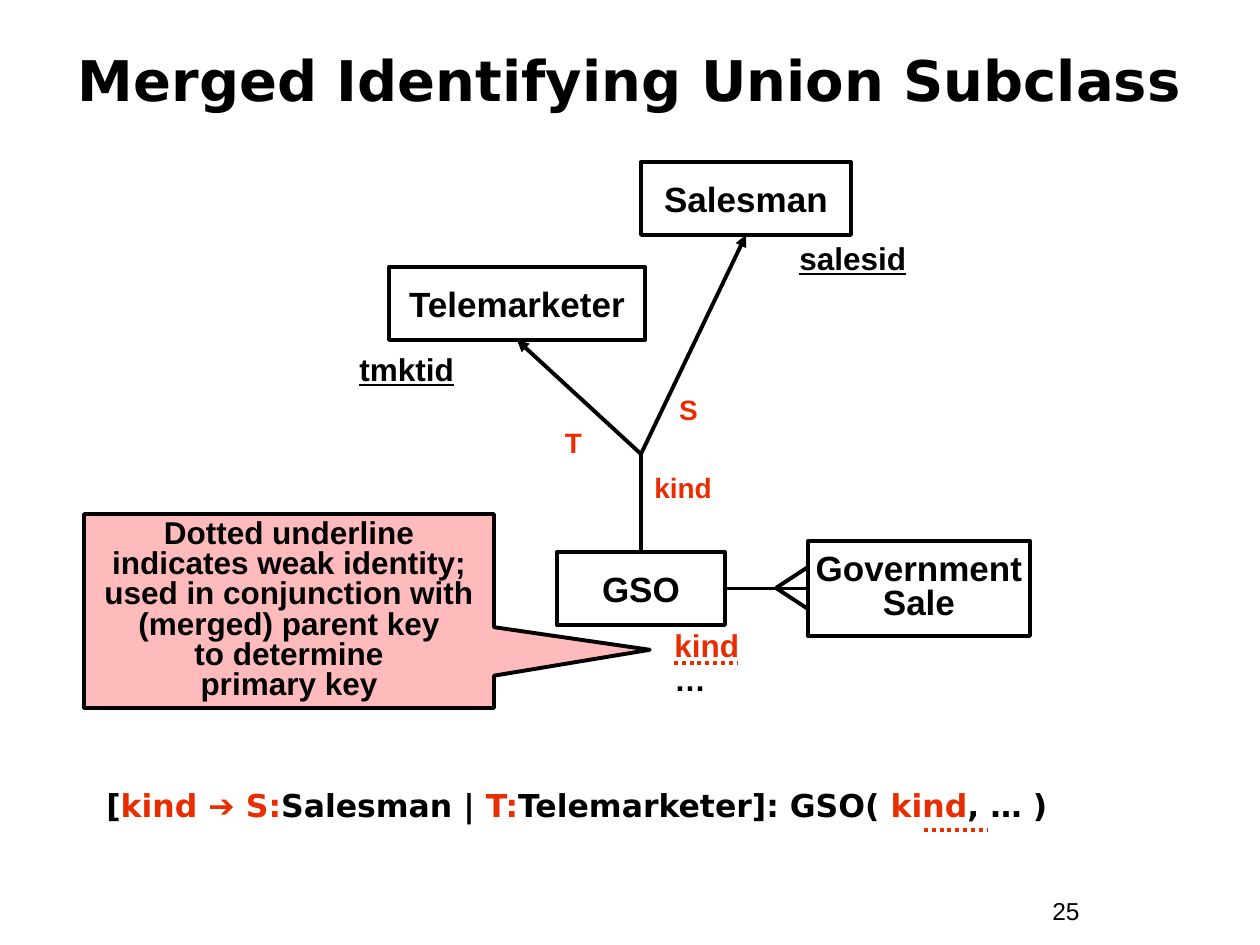
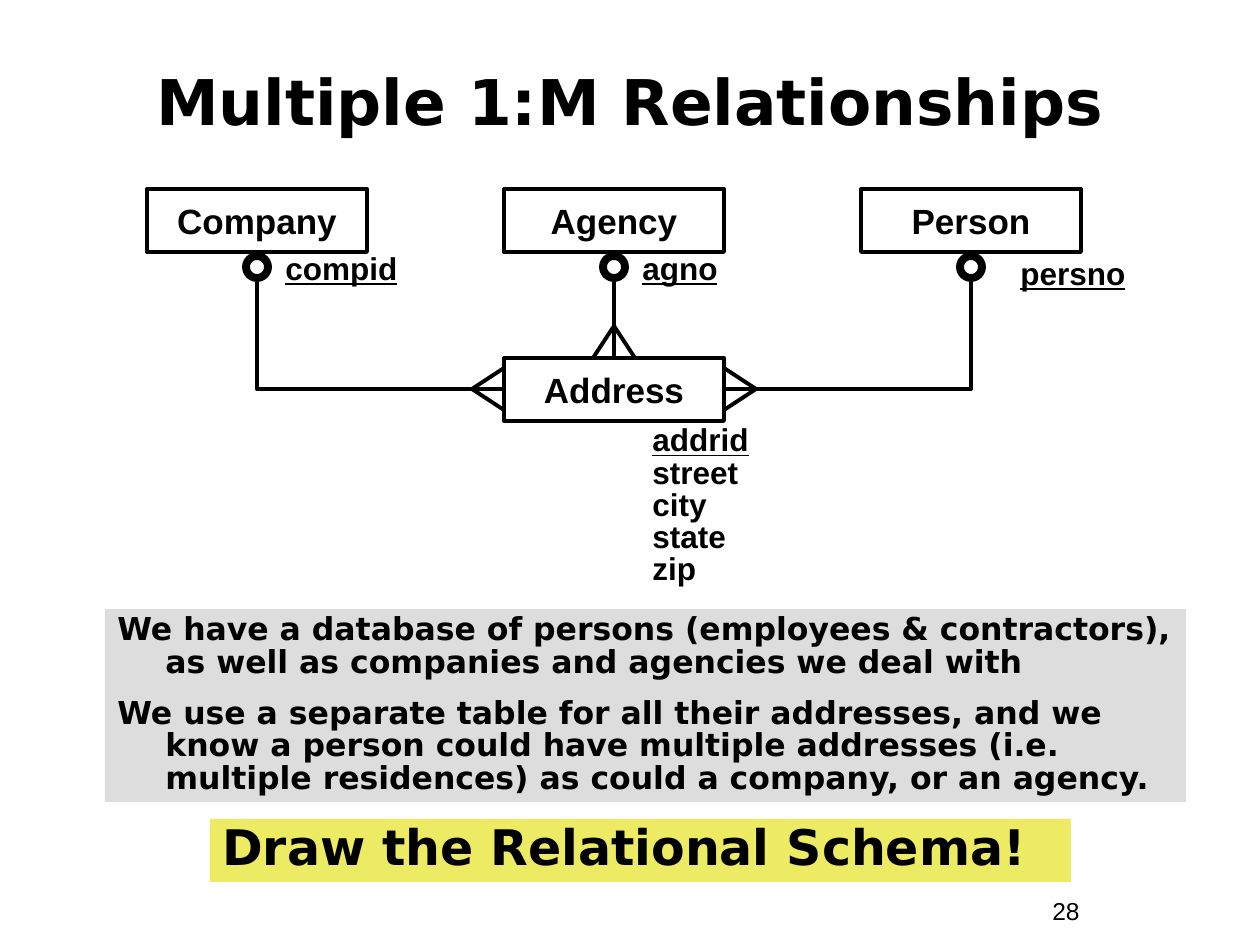
from dataclasses import dataclass
from typing import NamedTuple

from lxml.etree import SubElement
from pptx import Presentation
from pptx.dml.color import RGBColor
from pptx.enum.dml import MSO_LINE as Dash
from pptx.enum.shapes import MSO_CONNECTOR as Connector, MSO_SHAPE as Preset
from pptx.enum.text import MSO_ANCHOR as Anchor, PP_ALIGN as Align
from pptx.oxml.ns import qn
from pptx.util import Pt

SCALE = 914400 / 126
TOP, LEFT, BOTTOM, RIGHT = range(4)
DIRECTIONS = {TOP: (0, -1), LEFT: (-1, 0), BOTTOM: (0, 1), RIGHT: (1, 0)}
FOOT_LENGTH, FOOT_SPREAD = 32, 21


@dataclass(frozen=True)
class Theme:
    ink: str = "000000"
    accent: str = "EA2D00"
    callout: str = "FFBBBB"
    panel: str = "DDDDDD"
    banner: str = "EDEA63"
    sans: str = "Arial"
    display: str = "DejaVu Sans"
    number: int = 14
    label: int = 16
    body: int = 18
    entity: int = 20
    task: int = 28
    long_title: int = 32
    title: int = 36
    stroke: float = 2.25
    ring: float = 4.5


THEME = Theme()


class Box(NamedTuple):
    x: int
    y: int
    w: int
    h: int

    def inside(self, x, y, w, h):
        return Box(self.x + x, self.y + y, w, h)

    def point(self, x, y):
        return self.x + x, self.y + y

    def middle(self, side):
        dx, dy = DIRECTIONS[side]
        return self.x + (1 + dx) * self.w // 2, self.y + (1 + dy) * self.h // 2


def emu(*lengths):
    return [round(length * SCALE) for length in lengths]


def write(frame, paragraphs, size=THEME.body, font=THEME.sans, color=THEME.ink,
          bold=True, underline=False, align=Align.LEFT, spacing=None, gap=0,
          hanging=0, anchor=Anchor.TOP, wrap=True):
    frame.word_wrap = wrap
    frame.vertical_anchor = anchor
    for index, content in enumerate(paragraphs):
        paragraph = frame.paragraphs[0] if index == 0 else frame.add_paragraph()
        paragraph.alignment = align
        if spacing:
            paragraph.line_spacing = spacing
        if index and gap:
            paragraph.space_before = Pt(gap)
        if hanging:
            indent, = emu(hanging)
            properties = paragraph._p.get_or_add_pPr()
            properties.set("marL", str(indent))
            properties.set("indent", str(-indent))
        runs = [(content, {})] if isinstance(content, str) else content
        for text, changes in runs:
            for row, line_text in enumerate(text.split("\n")):
                if row:
                    paragraph.add_line_break()
                run = paragraph.add_run()
                run.text = line_text
                run.font.size = Pt(size)
                run.font.name = changes.get("font", font)
                run.font.bold = bold
                run.font.underline = changes.get("underline", underline)
                run.font.color.rgb = RGBColor.from_string(changes.get("color", color))


def add_text(slide, box, *paragraphs, **text_format):
    write(slide.shapes.add_textbox(*emu(*box)).text_frame, paragraphs, **text_format)


def add_block(slide, box, *paragraphs, preset=Preset.RECTANGLE, fill=None,
              stroke=THEME.stroke, **text_format):
    shape = slide.shapes.add_shape(preset, *emu(*box))
    shape.shadow.inherit = False
    if fill:
        shape.fill.solid()
        shape.fill.fore_color.rgb = RGBColor.from_string(fill)
    else:
        shape.fill.background()
    if stroke:
        shape.line.color.rgb = RGBColor.from_string(THEME.ink)
        shape.line.width = Pt(stroke)
    else:
        shape.line.fill.background()
    write(shape.text_frame, paragraphs, **text_format)
    return shape


def add_entity(slide, box, name):
    return add_block(slide, box, name, size=THEME.entity, align=Align.CENTER,
                     anchor=Anchor.MIDDLE, wrap=False,
                     spacing=0.8 if "\n" in name else None)


def add_line(slide, start, end, color=THEME.ink, kind=Connector.STRAIGHT,
             begin_at=None, end_at=None, dash=None, arrow=False):
    connector = slide.shapes.add_connector(kind, *emu(*start, *end))
    if begin_at:
        connector.begin_connect(*begin_at)
    if end_at:
        connector.end_connect(*end_at)
    connector.line.color.rgb = RGBColor.from_string(color)
    connector.line.width = Pt(THEME.stroke)
    if dash:
        connector.line.dash_style = dash
    properties = connector._element.spPr
    if arrow:
        SubElement(properties.find(qn("a:ln")), qn("a:tailEnd"), type="triangle")
    SubElement(properties, qn("a:effectLst"))
    return connector


def add_elbow(slide, start, end):
    connector = add_line(slide, start, end, kind=Connector.ELBOW)
    connector._element.spPr.find(qn("a:prstGeom")).set("prst", "bentConnector2")


def add_dots(slide, start):
    x, y = start
    add_line(slide, start, (x + 63, y), color=THEME.accent, dash=Dash.ROUND_DOT)


def add_crow_foot(slide, box, side):
    dx, dy = DIRECTIONS[side]
    x, y = box.middle(side)
    tip = x + dx * FOOT_LENGTH, y + dy * FOOT_LENGTH
    for spread in (-FOOT_SPREAD, FOOT_SPREAD):
        add_line(slide, tip, (x + abs(dy) * spread, y + abs(dx) * spread))


def add_frame(presentation, title, number, title_box, title_size):
    slide = presentation.slides.add_slide(presentation.slide_layouts[6])
    add_text(slide, title_box, title, size=title_size, font=THEME.display,
             align=Align.CENTER, anchor=Anchor.MIDDLE)
    add_text(slide, Box(1040, 890, 116, 43), number, size=THEME.number, bold=False)
    return slide


def draw_union_diagram(slide, box):
    gso_box = box.inside(210, 390, 168, 73)
    sale_box = box.inside(461, 379, 222, 95)
    fork = box.point(294, 292)
    gso = add_entity(slide, gso_box, "GSO")
    sale = add_entity(slide, sale_box, "Government\nSale")
    add_line(slide, sale_box.middle(LEFT), gso_box.middle(RIGHT),
             begin_at=(sale, LEFT), end_at=(gso, RIGHT))
    add_crow_foot(slide, sale_box, LEFT)
    add_line(slide, fork, gso_box.middle(TOP), end_at=(gso, TOP))

    parents = [("Salesman", (294, 0, 210, 73), "salesid", (440, 75)),
               ("Telemarketer", (42, 105, 256, 73), "tmktid", (0, 186))]
    for name, place, key, key_place in parents:
        parent_box = box.inside(*place)
        parent = add_entity(slide, parent_box, name)
        add_line(slide, fork, parent_box.middle(BOTTOM), end_at=(parent, BOTTOM), arrow=True)
        add_text(slide, box.inside(*key_place, 210, 47), key, underline=True, spacing=0.9)

    for text, x, y, width in [("kind", 273, 309, 126), ("S", 315, 231, 53), ("T", 200, 264, 53)]:
        add_text(slide, box.inside(x, y, width, 40), text, size=THEME.label,
                 color=THEME.accent, align=Align.CENTER, spacing=0.8)
    add_text(slide, box.inside(315, 462, 117, 81),
             [("kind", {"color": THEME.accent})], "…", spacing=0.9)
    add_dots(slide, box.point(327, 501))


def draw_callout(slide, box):
    callout = add_block(
        slide, box,
        "Dotted underline indicates weak identity;\n"
        "used in conjunction with (merged) parent key\nto determine\nprimary key",
        preset=Preset.RECTANGULAR_CALLOUT, fill=THEME.callout, align=Align.CENTER, spacing=0.8)
    callout.adjustments[0] = 0.88
    callout.adjustments[1] = 0.2


def draw_formula(slide, box):
    accent = {"color": THEME.accent}
    add_text(slide, box, [
        ("[", {}), ("kind ", accent), ("➔", {**accent, "font": THEME.sans}),
        (" S:", accent), ("Salesman | ", {}), ("T:", accent),
        ("Telemarketer]: GSO( ", {}), ("kind", accent), (", … )", {}),
    ], font=THEME.display, spacing=0.8)
    add_dots(slide, box.point(830, 43))


def draw_address_diagram(slide, box):
    width, height, step = 220, 63, 357
    address_box = box.inside(step, 169, width, height)
    address = add_entity(slide, address_box, "Address")
    owners = [("Company", "compid", 126, 58, LEFT),
              ("Agency", "agno", 126, 58, TOP),
              ("Person", "persno", 147, 63, RIGHT)]
    for column, (name, key, key_x, key_y, side) in enumerate(owners):
        owner_box = box.inside(column * step, 0, width, height)
        add_entity(slide, owner_box, name)
        add_block(slide, owner_box.inside(width // 2 - 11, 67, 22, 22),
                  preset=Preset.OVAL, stroke=THEME.ring)
        add_text(slide, owner_box.inside(key_x, key_y, 147, 47), key,
                 underline=True, spacing=0.9)
        stem = owner_box.point(width // 2, 93)
        if side == TOP:
            add_line(slide, stem, address_box.middle(TOP), end_at=(address, TOP))
        else:
            add_elbow(slide, address_box.middle(side), stem)
        add_crow_foot(slide, address_box, side)
    add_text(slide, box.inside(493, 231, 147, 174), [("addrid", {"underline": True})],
             "street", "city", "state", "zip", spacing=0.85)


def draw_panel(slide, box, *paragraphs, **text_format):
    add_block(slide, box, *paragraphs, stroke=None, font=THEME.display,
              spacing=0.85, hanging=48, **text_format)


def build_union_slide(presentation):
    slide = add_frame(presentation, "Merged Identifying Union Subclass", "25",
                      Box(42, 21, 1176, 116), THEME.long_title)
    draw_union_diagram(slide, Box(347, 162, 683, 543))
    draw_formula(slide, Box(94, 787, 1082, 81))
    draw_callout(slide, Box(84, 514, 410, 194))


def build_relationships_slide(presentation):
    slide = add_frame(presentation, "Multiple 1:M Relationships", "28",
                      Box(42, 42, 1176, 116), THEME.title)
    draw_address_diagram(slide, Box(147, 189, 934, 405))
    draw_panel(slide, Box(210, 819, 861, 63), "Draw the Relational Schema!",
               fill=THEME.banner, size=THEME.task)
    draw_panel(
        slide, Box(105, 609, 1081, 193),
        "We have a database of persons (employees & contractors), "
        "as well as companies and agencies we deal with",
        "We use a separate table for all their addresses, and we know a person could have "
        "multiple addresses (i.e. multiple residences) as could a company, or an agency.",
        fill=THEME.panel, gap=11.2)


def main():
    presentation = Presentation()
    presentation.slide_width, presentation.slide_height = emu(1260, 945)
    build_union_slide(presentation)
    build_relationships_slide(presentation)
    presentation.save("out.pptx")


if __name__ == "__main__":
    main()
